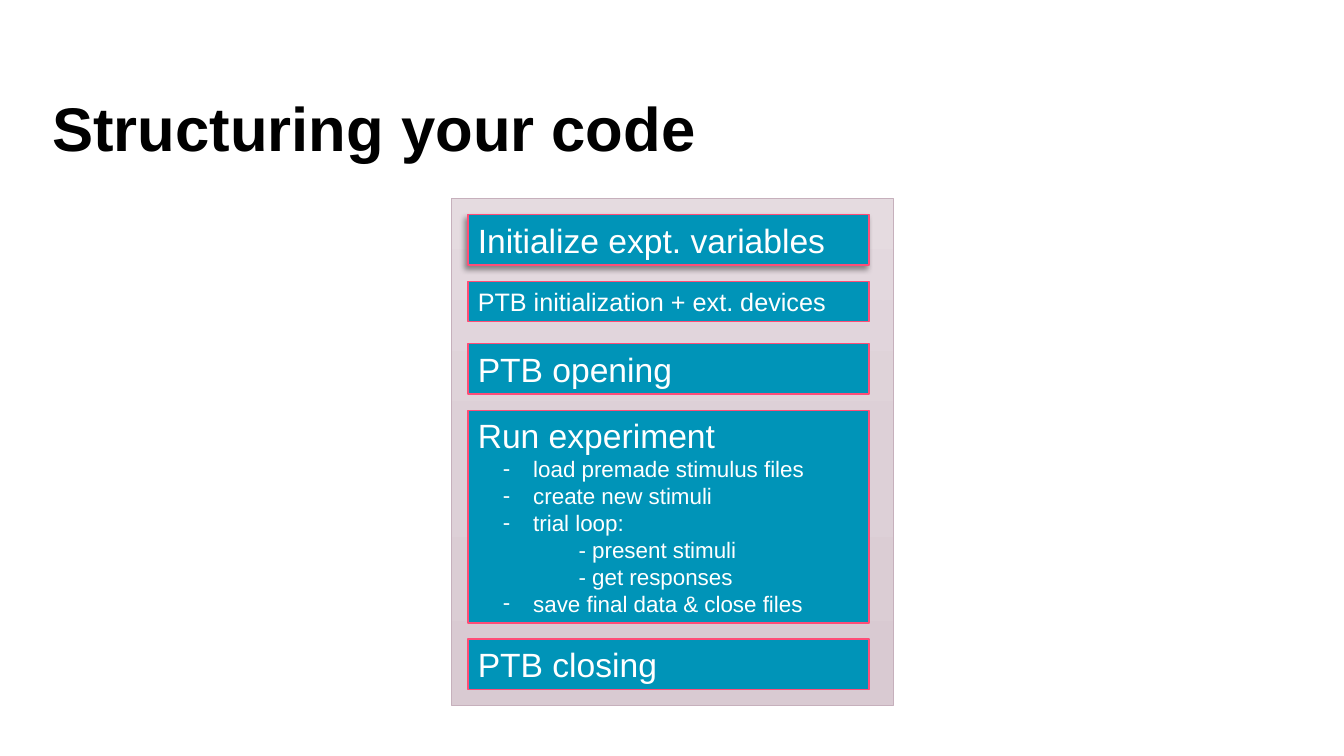
from copy import deepcopy

from lxml.etree import SubElement
from pptx import Presentation
from pptx.dml.color import RGBColor
from pptx.enum.shapes import MSO_SHAPE as Shape
from pptx.enum.text import MSO_ANCHOR as Anchor, MSO_AUTO_SIZE as AutoSize, PP_ALIGN as Align
from pptx.oxml.ns import qn
from pptx.util import Emu, Inches, Pt

# Content: each block is (slot height, box height, lines); a line is (style, text)
TITLE = "Structuring your code"
BLOCKS = [
    (0.5, 0.5, [("head", "Initialize expt. variables")]),
    (0.46, 0.4, [("small head", "PTB initialization + ext. devices")]),
    (0.5, 0.5, [("head", "PTB opening")]),
    (2.11, 2.11, [
        ("head", "Run experiment"),
        ("bullet", "load premade stimulus files"),
        ("bullet", "create new stimuli"),
        ("bullet", "trial loop:"),
        ("step", "- present stimuli"),
        ("step", "- get responses"),
        ("bullet", "save final data & close files"),
    ]),
    (0.5, 0.5, [("head", "PTB closing")]),
]

# Style: size in points, left margin and first-line indent in inches
STYLES = {
    "head": (24, 0, 0),
    "small head": (18, 0, 0),
    "bullet": (16, 0.55, -0.3),
    "step": (16, 1, 0),
}
FONT = "Arial"
BLACK = RGBColor(0x00, 0x00, 0x00)
WHITE = RGBColor(0xFF, 0xFF, 0xFF)
TEAL = RGBColor(0x00, 0x94, 0xB8)
PINK = RGBColor(0xFF, 0x4D, 0x77)
MAUVE_LINE = RGBColor(0xC6, 0xB0, 0xBC)
MAUVES = [RGBColor(0xE5, 0xDB, 0xE0), RGBColor(0xDD, 0xD0, 0xD7), RGBColor(0xD9, 0xCA, 0xD2)]

# Layout in inches
PANEL_LEFT, PANEL_TOP, PANEL_WIDTH, PANEL_HEIGHT = 4.48, 1.97, 4.38, 5.03
GAP, BOX_WIDTH = 0.16, 3.98


def add_span(para, text, size, color, bold=False):
    span = para.add_run()
    span.text = text
    span.font.name, span.font.size, span.font.bold = FONT, Pt(size), bold
    span.font.color.rgb = color


def add_box(group, left, top, width, height, line_color, line_width):
    box = group.shapes.add_shape(
        Shape.RECTANGLE, Inches(left), Inches(top), Inches(width), Inches(height))
    box.shadow.inherit = False
    box.line.color.rgb, box.line.width = line_color, Pt(line_width)
    return box


def write_lines(box, lines):
    frame = box.text_frame
    frame.word_wrap, frame.vertical_anchor = True, Anchor.TOP
    frame.auto_size = AutoSize.SHAPE_TO_FIT_TEXT
    for index, (style, text) in enumerate(lines):
        para = frame.add_paragraph() if index else frame.paragraphs[0]
        size, margin, indent = STYLES[style]
        para.alignment = Align.LEFT
        props = para._p.get_or_add_pPr()
        props.set("marL", str(Inches(margin)))
        props.set("indent", str(Inches(indent)))
        if style == "bullet":
            SubElement(props, qn("a:buFont"), typeface=FONT)
            SubElement(props, qn("a:buChar"), char="-")
        add_span(para, text, size, WHITE)


def add_shadow(box):
    effects = box._element.spPr.find(qn("a:effectLst"))
    shadow = SubElement(effects, qn("a:outerShdw"), blurRad=str(Pt(4)), dist=str(Pt(3)),
                        dir=str(135 * 60000), algn="tr", rotWithShape="0")
    color = SubElement(shadow, qn("a:srgbClr"), val="000000")
    SubElement(color, qn("a:alpha"), val="40000")


deck = Presentation()
deck.slide_width, deck.slide_height = Inches(13.33), Inches(7.5)
page = deck.slides.add_slide(deck.slide_layouts[5])

# Title
title = page.shapes.title
title.left, title.top, title.width, title.height = map(Inches, (0.42, 0.92, 11.61, 1.51))
title.text_frame.vertical_anchor = Anchor.TOP
title.text_frame.word_wrap = True
heading = title.text_frame.paragraphs[0]
heading.alignment, heading.line_spacing = Align.LEFT, 0.9
add_span(heading, TITLE, 44, BLACK, bold=True)

# Panel with a vertical three-stop gradient
group = page.shapes.add_group_shape()
panel = add_box(group, PANEL_LEFT, PANEL_TOP, PANEL_WIDTH, PANEL_HEIGHT, MAUVE_LINE, 0.5)
panel.fill.gradient()
panel.fill.gradient_angle = 270
stop_list = panel._element.spPr.find(qn("a:gradFill")).find(qn("a:gsLst"))
stop_list.append(deepcopy(stop_list[-1]))
for index, (stop, color) in enumerate(zip(panel.fill.gradient_stops, MAUVES)):
    stop.position, stop.color.rgb = index / 2, color

# Code blocks, stacked down the panel
top = PANEL_TOP + GAP
for index, (slot, height, lines) in enumerate(BLOCKS):
    box = add_box(group, PANEL_LEFT + GAP, top, BOX_WIDTH, height, PINK, 1)
    box.fill.solid()
    box.fill.fore_color.rgb = TEAL
    write_lines(box, lines)
    if index == 0:
        add_shadow(box)
    top += slot + GAP

deck.save("out.pptx")
